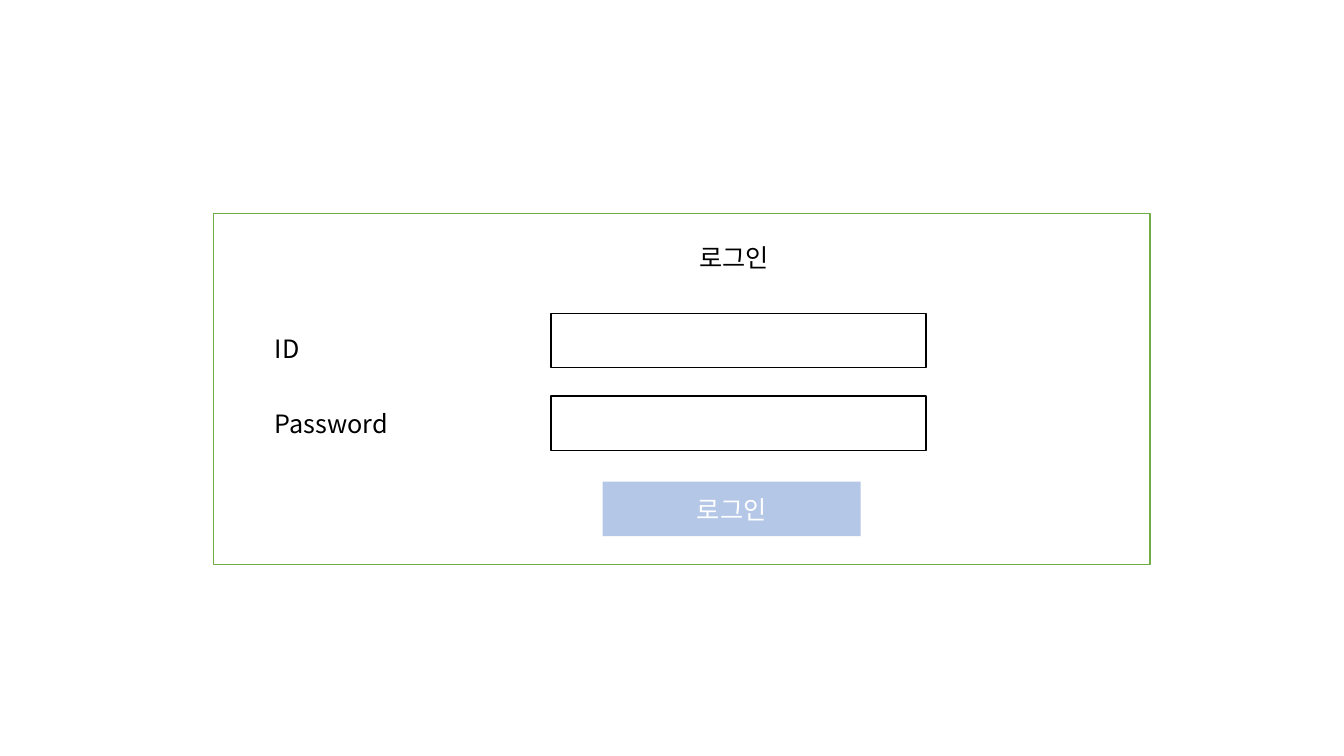
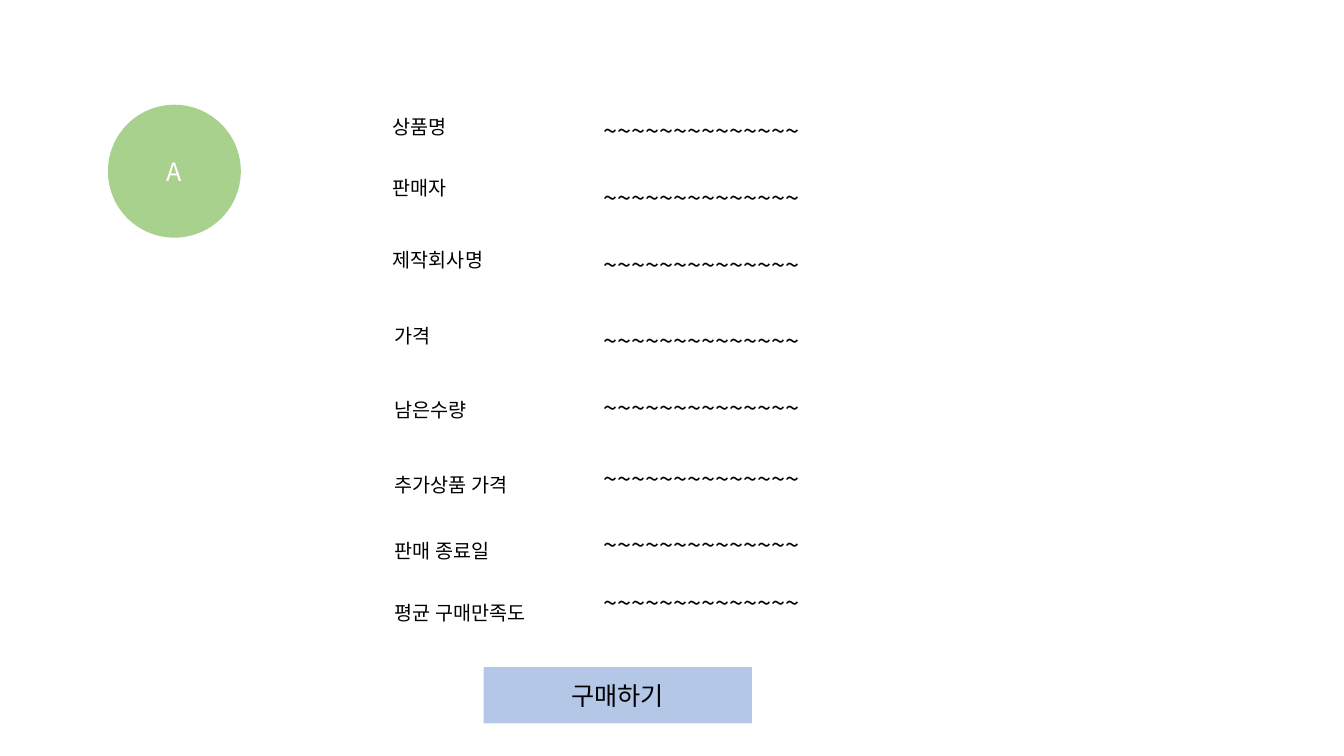
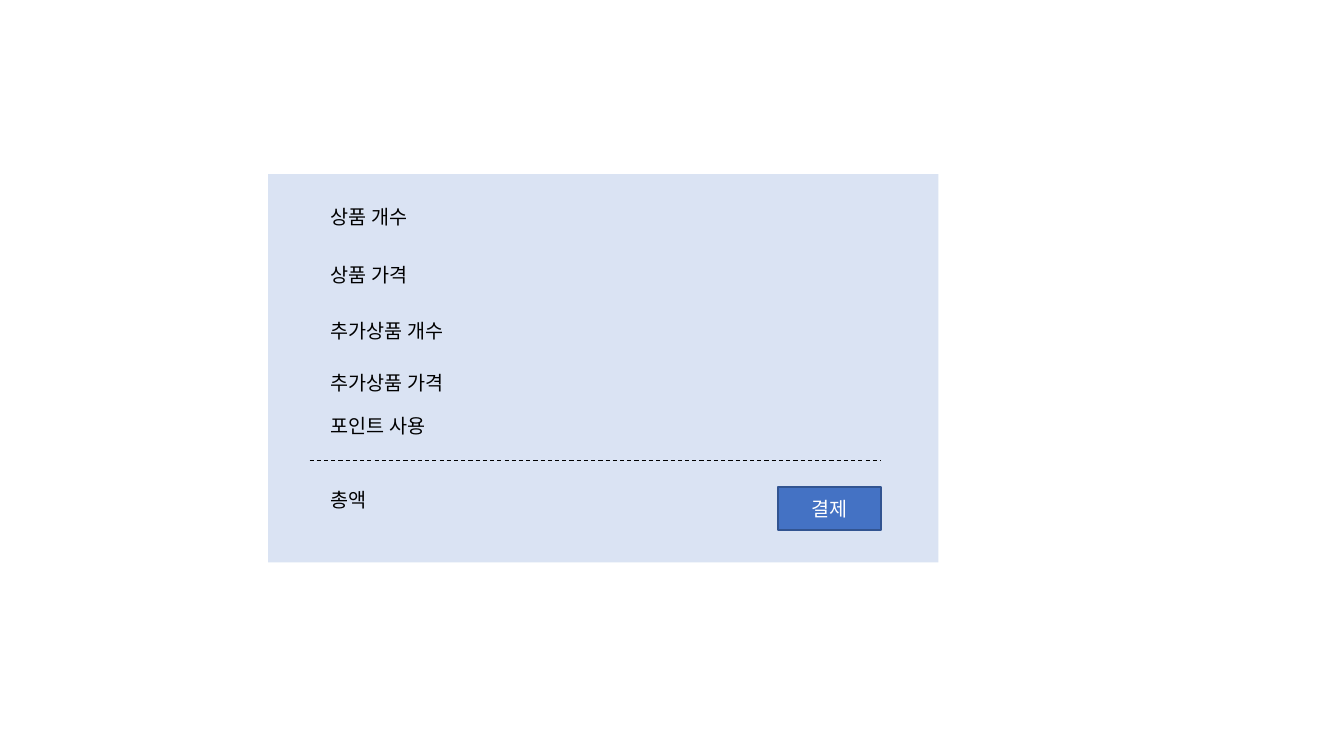
from lxml import etree
from pptx import Presentation
from pptx.dml.color import RGBColor
from pptx.enum.dml import MSO_LINE
from pptx.enum.shapes import MSO_CONNECTOR, MSO_SHAPE
from pptx.enum.text import MSO_ANCHOR, MSO_AUTO_SIZE, PP_ALIGN
from pptx.oxml.ns import qn
from pptx.util import Cm, Pt

RECTANGLE, OVAL = MSO_SHAPE.RECTANGLE, MSO_SHAPE.OVAL
STRAIGHT, DASH = MSO_CONNECTOR.STRAIGHT, MSO_LINE.DASH
FIT_SHAPE, MIDDLE = MSO_AUTO_SIZE.SHAPE_TO_FIT_TEXT, MSO_ANCHOR.MIDDLE
LEFT, CENTER = PP_ALIGN.LEFT, PP_ALIGN.CENTER

BLACK = RGBColor(0x00, 0x00, 0x00)
WHITE = RGBColor(0xFF, 0xFF, 0xFF)
GREEN = RGBColor(0x70, 0xAD, 0x47)
LIGHT_GREEN = RGBColor(0xA9, 0xD1, 0x8E)
BLUE = RGBColor(0x44, 0x72, 0xC4)
DARK_BLUE = RGBColor(0x32, 0x54, 0x91)
LIGHT_BLUE = RGBColor(0xB4, 0xC7, 0xE7)
PALE_BLUE = RGBColor(0xDA, 0xE3, 0xF3)

FONT = "Noto Sans CJK KR"
LARGE, SMALL = 18, 14
TEXT_HEIGHT = {LARGE: 1.02, SMALL: 0.86}


def write(box, text, size, color, alignment):
    paragraph = box.text_frame.paragraphs[0]
    paragraph.text = text
    paragraph.alignment = alignment
    font = paragraph.font
    font.name, font.size = FONT, Pt(size)
    font.color.rgb = color
    # Korean letters take the East Asian typeface
    properties = paragraph._p.pPr.find(qn("a:defRPr"))
    etree.SubElement(properties, qn("a:ea")).set("typeface", FONT)


def add_block(page, kind, left, top, width, height, fill=None, line=None):
    shape = page.shapes.add_shape(kind, Cm(left), Cm(top), Cm(width), Cm(height))
    shape.shadow.inherit = False
    shape.text_frame.vertical_anchor = MIDDLE
    if fill is None:
        shape.fill.background()
    else:
        shape.fill.solid()
        shape.fill.fore_color.rgb = fill
    if line is None:
        shape.line.fill.background()
    else:
        shape.line.color.rgb = line
        shape.line.width = Pt(1)
    return shape


deck = Presentation()
deck.slide_width, deck.slide_height = Cm(33.87), Cm(19.05)
login, product, payment = [deck.slides.add_slide(deck.slide_layouts[6]) for _ in range(3)]

# Login: input fields, frame and button
for top in (7.9, 9.98):
    add_block(login, RECTANGLE, 13.89, top, 9.45, 1.37, WHITE, BLACK)
add_block(login, RECTANGLE, 5.38, 5.38, 23.6, 8.84, line=GREEN)
button = add_block(login, RECTANGLE, 15.19, 12.14, 6.5, 1.37, LIGHT_BLUE)
write(button, "로그인", LARGE, WHITE, CENTER)

# Product: picture circle and buy button
circle = add_block(product, OVAL, 2.72, 2.64, 3.35, 3.35, LIGHT_GREEN)
write(circle, "A", LARGE, WHITE, CENTER)
button = add_block(product, RECTANGLE, 12.19, 16.81, 6.76, 1.42, LIGHT_BLUE)
write(button, "구매하기", LARGE, BLACK, CENTER)

# Payment: panel, total line and pay button
add_block(payment, RECTANGLE, 6.76, 4.39, 16.89, 9.78, PALE_BLUE)
total_line = payment.shapes.add_connector(STRAIGHT, Cm(7.8), Cm(11.61), Cm(22.2), Cm(11.61))
total_line.line.color.rgb = BLACK
total_line.line.width = Pt(0.75)
total_line.line.dash_style = DASH
etree.SubElement(total_line._element.spPr, qn("a:effectLst"))
button = add_block(payment, RECTANGLE, 19.61, 12.27, 2.59, 1.09, BLUE, DARK_BLUE)
write(button, "결제", SMALL, WHITE, CENTER)

# Labels of all pages: page, text, size, left, top, width
labels = [
    (login, "로그인", LARGE, 17.37, 5.97, 2.92),
    (login, "ID", LARGE, 6.68, 8.28, 1.57),
    (login, "Password", LARGE, 6.68, 10.16, 3.61),
]
# Product rows: name, left, top, width, top of the value
for name, left, top, width, value_top in (
    ("상품명", 9.63, 2.77, 2.01, 2.79),
    ("판매자", 9.63, 4.32, 2.01, 4.47),
    ("제작회사명", 9.65, 6.12, 3.0, 6.15),
    ("가격", 9.7, 8.03, 1.5, 8.08),
    ("남은수량", 9.7, 9.91, 2.51, 9.75),
    ("추가상품 가격", 9.7, 11.79, 3.68, 11.56),
    ("판매 종료일", 9.7, 13.46, 3.18, 13.21),
    ("평균 구매만족도", 9.7, 15.01, 4.17, 14.68),
):
    labels.append((product, name, SMALL, left, top, width))
    labels.append((product, "~" * 14, LARGE, 14.96, value_top, 6.81))
for name, top in (
    ("상품 개수", 5.03),
    ("상품 가격", 6.5),
    ("추가상품 개수", 7.92),
    ("추가상품 가격", 9.22),
    ("포인트 사용", 10.31),
    ("총액", 12.17),
):
    labels.append((payment, name, SMALL, 8.08, top, 4.93))

for page, text, size, left, top, width in labels:
    box = page.shapes.add_textbox(Cm(left), Cm(top), Cm(width), Cm(TEXT_HEIGHT[size]))
    box.text_frame.word_wrap = True
    box.text_frame.auto_size = FIT_SHAPE
    write(box, text, size, BLACK, LEFT)

deck.save("out.pptx")
